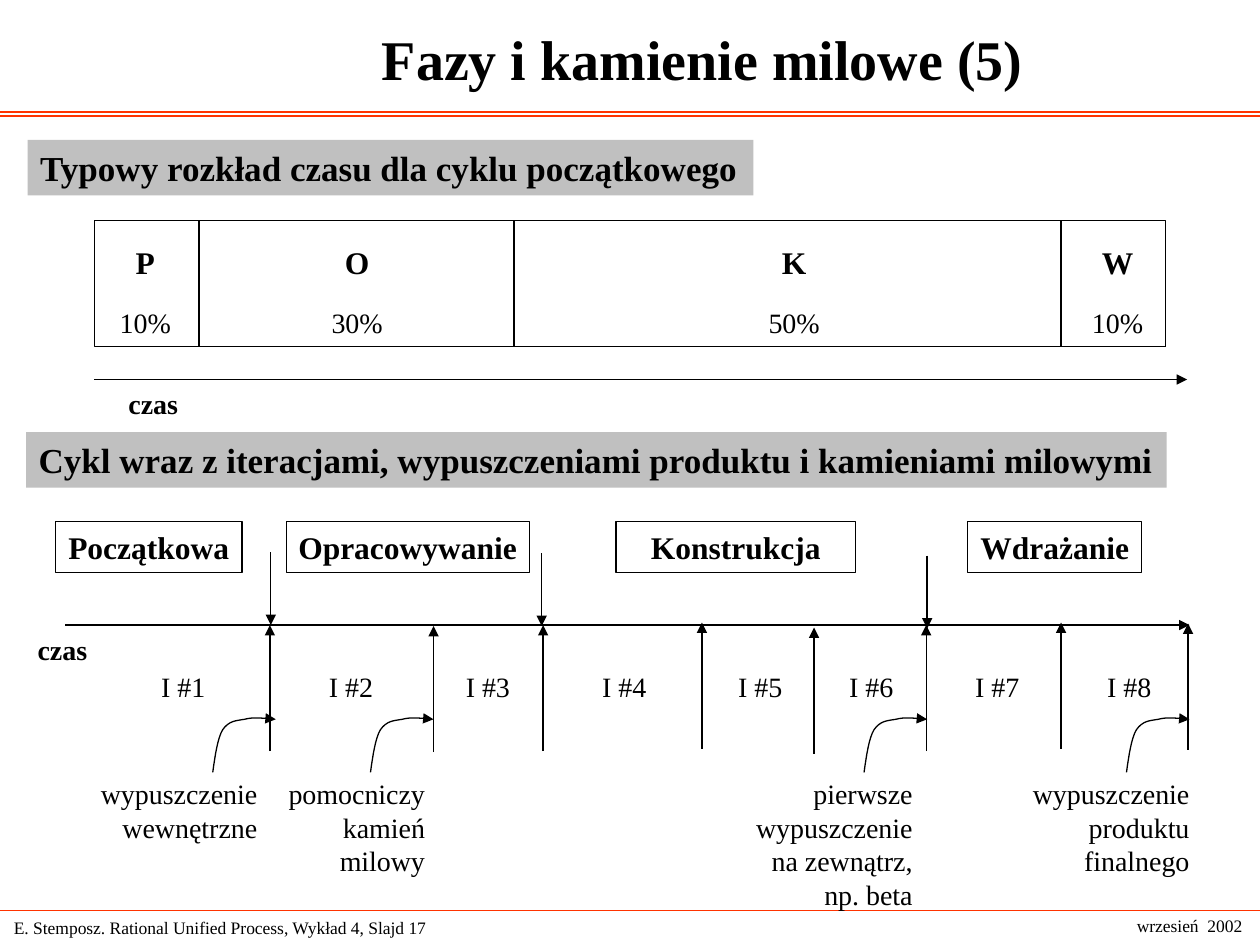
from lxml import etree
from pptx import Presentation
from pptx.dml.color import RGBColor
from pptx.enum import shapes, text
from pptx.oxml import ns
from pptx.util import Cm, Pt

COLORS = {"ink": "000000", "rule": "FF3300", "heading": "C0C0C0", "paper": "FFFFFF"}
FONT = "Times New Roman"
ALIGN = text.PP_ALIGN

deck = Presentation()
deck.slide_width, deck.slide_height = Cm(25.4), Cm(19.05)
slide = deck.slides.add_slide(deck.slide_layouts[5])


def add_label(left, top, width, height, wording, size=16, bold=False,
              align=ALIGN.LEFT, fill=None, outlined=False):
    """Text on one or more unwrapped lines, with an optional filled rectangle."""
    place = Cm(left), Cm(top), Cm(width), Cm(height)
    if fill:
        label = slide.shapes.add_shape(shapes.MSO_SHAPE.RECTANGLE, *place)
        label.shadow.inherit = False
        label.fill.solid()
        label.fill.fore_color.rgb = RGBColor.from_string(COLORS[fill])
        if outlined:
            label.line.color.rgb = RGBColor.from_string(COLORS["ink"])
            label.line.width = Pt(0.75)
        else:
            label.line.fill.background()
    else:
        label = slide.shapes.add_textbox(*place)
    frame = label.text_frame
    frame.word_wrap = False
    frame.vertical_anchor = text.MSO_ANCHOR.MIDDLE
    frame.text = wording
    for paragraph in frame.paragraphs:
        paragraph.alignment = align
        paragraph.font.name = FONT
        paragraph.font.size = Pt(size)
        paragraph.font.bold = bold
        paragraph.font.color.rgb = RGBColor.from_string(COLORS["ink"])


def add_path(points, color="ink", arrow=False):
    """Straight connector for two points, open outline for more."""
    points = [(Cm(x), Cm(y)) for x, y in points]
    if len(points) == 2:
        stroke = slide.shapes.add_connector(
            shapes.MSO_CONNECTOR.STRAIGHT, *points[0], *points[1])
    else:
        builder = slide.shapes.build_freeform(*points[0])
        builder.add_line_segments(points[1:], close=False)
        stroke = builder.convert_to_shape()
        stroke.fill.background()
    stroke.line.color.rgb = RGBColor.from_string(COLORS[color])
    stroke.line.width = Pt(0.75)
    properties = stroke.element.spPr
    if arrow:
        etree.SubElement(properties.find(ns.qn("a:ln")), ns.qn("a:tailEnd"), type="triangle")
    etree.SubElement(properties, ns.qn("a:effectLst"))


# Title, rules and footer
title = slide.shapes.title
title.left, title.top, title.width, title.height = Cm(2.95), Cm(0), Cm(22.43), Cm(2.34)
title.text_frame.text = "Fazy i kamienie milowe (5)"
title.text_frame.vertical_anchor = text.MSO_ANCHOR.MIDDLE
heading = title.text_frame.paragraphs[0]
heading.alignment = ALIGN.CENTER
heading.font.name, heading.font.size, heading.font.bold = FONT, Pt(32), True
heading.font.color.rgb = RGBColor.from_string(COLORS["ink"])

for rule_y in (2.26, 2.34, 18.36):
    add_path([(0, rule_y), (25.4, rule_y)], "rule")
add_label(0.03, 18.36, 11.38, 0.69, "E. Stemposz. Rational Unified Process, Wykład 4, Slajd 17", 10)
add_label(22.56, 18.31, 2.84, 0.69, "wrzesień  2002", 10, align=ALIGN.CENTER)

# Section headings
add_label(0.56, 2.82, 14.63, 1.12, "Typowy rozkład czasu dla cyklu początkowego",
          20, True, fill="heading")
add_label(0.53, 8.71, 22.99, 1.12,
          "Cykl wraz z iteracjami, wypuszczeniami produktu i kamieniami milowymi",
          20, True, fill="heading")

# Time share of each phase: letter, share, text centre, right edge
bar_left, bar_top, bar_width, bar_height = 1.9, 4.45, 21.6, 2.54
add_label(bar_left, bar_top, bar_width, bar_height, "", fill="paper", outlined=True)
for letter, share, center, edge in (("P", "10%", 2.93, 4.01), ("O", "30%", 7.2, 10.36),
                                    ("K", "50%", 16.01, 21.39),
                                    ("W", "10%", 22.53, bar_left + bar_width)):
    add_path([(edge, bar_top), (edge, bar_top + bar_height)])
    add_label(center - 0.7, 4.78, 1.4, 1.02, letter, 18, True, ALIGN.CENTER)
    add_label(center - 1, 6.02, 2, 0.94, share, align=ALIGN.CENTER)

# Time axes
for start, end, y, label_left in ((bar_left, 23.93, 7.65, 2.34), (1.32, 23.98, 12.6, 0.51)):
    add_path([(start, y), (end, y)], arrow=True)
    add_label(label_left, y + 0.02, 1.7, 0.94, "czas", bold=True)

# Phases of the cycle
for phase, left, width in (("Początkowa", 1.12, 3.76), ("Opracowywanie", 5.77, 4.9),
                           ("Konstrukcja", 12.42, 4.83), ("Wdrażanie", 19.51, 3.51)):
    add_label(left, 10.52, width, 1.02, phase, 18, True, ALIGN.CENTER, "paper", True)

# Major milestones above the axis
for x, top in ((5.46, 11.13), (10.92, 11.15), (18.69, 11.2)):
    add_path([(x, top), (x, top + 1.47)], arrow=True)

# Iterations: label left, end of iteration, arrow tip
iterations = ((3, 5.44, 12.6), (6.38, 8.74, 12.62), (9.14, 10.95, 12.6), (11.89, 14.15, 12.55),
              (14.63, 16.41, 12.65), (16.87, 18.67, 12.6), (19.41, 21.39, 12.55),
              (22.07, 23.95, 12.57))
for number, (left, x, tip) in enumerate(iterations, 1):
    add_path([(x, tip + 2.54), (x, tip)], arrow=True)
    add_label(left, 13.36, 1.6, 0.94, f"I #{number}")

# Bent pointer as offsets from its foot, sampled from three cubic curves
controls = ((0, 0), (0.05, -0.36), (0.1, -0.69), (0.2, -0.86), (0.33, -1.04), (0.46, -1.04),
            (0.64, -1.07), (0.81, -1.12), (1.04, -1.09), (1.27, -1.07))
bend = [controls[0]]
for first in (0, 3, 6):
    for step in range(1, 9):
        t = step / 8
        weights = ((1 - t) ** 3, 3 * t * (1 - t) ** 2, 3 * t ** 2 * (1 - t), t ** 3)
        curve = controls[first:first + 4]
        bend.append(tuple(sum(w * point[axis] for w, point in zip(weights, curve))
                          for axis in (0, 1)))

# Releases with their pointers: wording, right edge, pointer foot
release_width = 4
for release, right, foot in (
        ("wypuszczenie\nwewnętrzne", 5.44, 4.29),
        ("pomocniczy\nkamień\nmilowy", 8.82, 7.47),
        ("pierwsze\nwypuszczenie\nna zewnątrz,\nnp. beta", 18.65, 17.42),
        ("wypuszczenie\nproduktu\nfinalnego", 24.23, 22.71)):
    height = 0.27 + 0.68 * len(release.split("\n"))
    add_label(right - release_width, 15.52, release_width, height, release, align=ALIGN.RIGHT)
    add_path([(foot + dx, 15.57 + dy) for dx, dy in bend], arrow=True)

deck.save("out.pptx")
